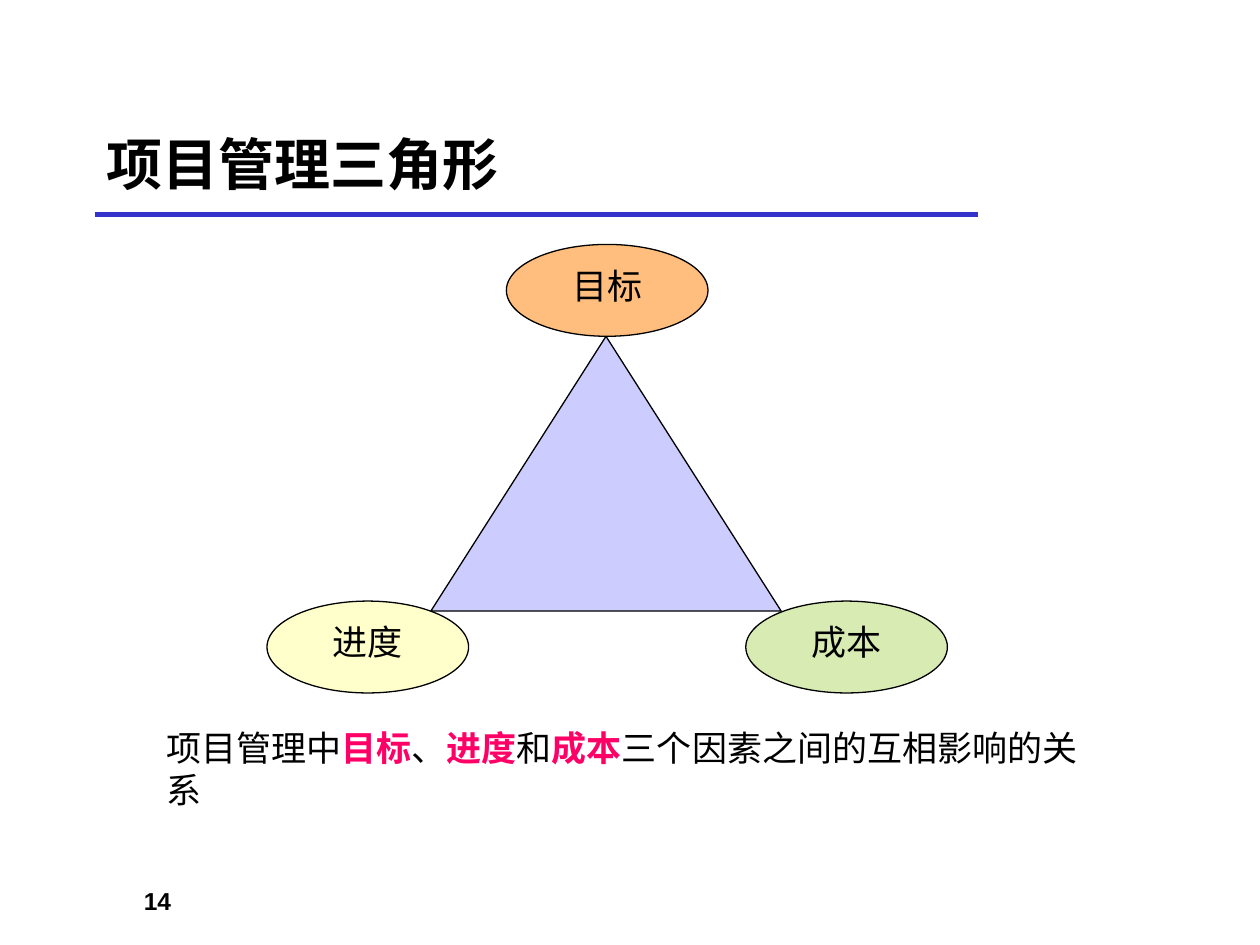
import pptx
import pptx.util
import pptx.dml.color
import pptx.enum.shapes
import pptx.enum.text
import pptx.oxml
from collections import namedtuple

Pt = pptx.util.Pt
RGBColor = pptx.dml.color.RGBColor
Shapes = pptx.enum.shapes.MSO_SHAPE
Anchor = pptx.enum.text.MSO_ANCHOR
Align = pptx.enum.text.PP_ALIGN
Box = namedtuple("Box", "left top width height")

BLACK = RGBColor(0x00, 0x00, 0x00)
BLUE = RGBColor(0x33, 0x33, 0xCC)
LAVENDER = RGBColor(0xCC, 0xCC, 0xFF)
YELLOW = RGBColor(0xFF, 0xFF, 0xCC)
ORANGE = RGBColor(0xFF, 0xBE, 0x7D)
GREEN = RGBColor(0xD8, 0xEB, 0xB3)
PINK = RGBColor(0xFF, 0x00, 0x66)

SERIF = "Times New Roman"
OVAL_WIDTH, OVAL_HEIGHT = 115.2, 52.5


def points(box):
    """Turn a box of numbers into lengths."""
    return [Pt(value) for value in box]


def style(para, size, name=SERIF, bold=False, align=Align.LEFT):
    """Set the alignment and font of a paragraph."""
    para.alignment = align
    para.font.size = Pt(size)
    para.font.name = name
    para.font.bold = bold
    para.font.color.rgb = BLACK


def add_text(page, box, anchor, wrap=True):
    """Add a text box and return its first paragraph."""
    frame = page.shapes.add_textbox(*points(box)).text_frame
    frame.word_wrap = wrap
    frame.vertical_anchor = anchor
    return frame.paragraphs[0]


def add_outlined(page, kind, box, fill):
    """Add a filled preset shape with a thin black outline."""
    shape = page.shapes.add_shape(kind, *points(box))
    shape.shadow.inherit = False
    shape.fill.solid()
    shape.fill.fore_color.rgb = fill
    shape.line.color.rgb = BLACK
    shape.line.width = Pt(0.75)
    return shape


def add_heading(page, box):
    """Place the title and the rule that crosses its lower part."""
    rule_top = box.top + 74.2
    rule = page.shapes.add_connector(
        pptx.enum.shapes.MSO_CONNECTOR.STRAIGHT,
        Pt(box.left), Pt(rule_top), Pt(box.left + 504.7), Pt(rule_top))
    rule.line.color.rgb = BLUE
    rule.line.width = Pt(3)
    rule._element.spPr.append(pptx.oxml.parse_xml(
        '<a:effectLst xmlns:a="http://schemas.openxmlformats.org/drawingml/2006/main"/>'))
    para = add_text(page, box, Anchor.MIDDLE)
    para.text = "项目管理三角形"
    style(para, 32, bold=True)


def add_triangle(page, box):
    """Place the triangle and the three factors at its corners."""
    inset = 93.6
    add_outlined(page, Shapes.ISOSCELES_TRIANGLE,
                 Box(box.left + inset, box.top + OVAL_HEIGHT, 200.2, 157), LAVENDER)
    step = (box.width - OVAL_WIDTH) / 2
    drop = box.height - OVAL_HEIGHT
    factors = [("进度", YELLOW, drop), ("目标", ORANGE, 0), ("成本", GREEN, drop)]
    for column, (label, fill, offset) in enumerate(factors):
        oval = add_outlined(page, Shapes.OVAL,
                            Box(box.left + column * step, box.top + offset,
                                OVAL_WIDTH, OVAL_HEIGHT), fill)
        oval.text_frame.vertical_anchor = Anchor.TOP
        para = oval.text_frame.paragraphs[0]
        para.text = label
        style(para, 20, align=Align.CENTER)


def add_summary(page, box):
    """Place the sentence with its highlighted factors."""
    para = add_text(page, box, Anchor.MIDDLE, wrap=False)
    style(para, 20)
    parts = ["项目管理中", "目标", "、", "进度", "和", "成本",
             "三个因素之间的互相影响的关系"]
    for index, words in enumerate(parts):
        span = para.add_run()
        span.text = words
        if index % 2:
            span.font.bold = True
            span.font.color.rgb = PINK


def add_page_number(page, box):
    """Place the page number."""
    para = add_text(page, box, Anchor.TOP)
    para.text = "14"
    style(para, 14, "Arial", True, Align.CENTER)


def main():
    """Build and save the deck."""
    deck = pptx.Presentation()
    deck.slide_width, deck.slide_height = Pt(720), Pt(540)
    page = deck.slides.add_slide(deck.slide_layouts[6])
    add_heading(page, Box(54, 48.2, 612, 90))
    add_summary(page, Box(87.8, 423.4, 555.1, 31.7))
    add_triangle(page, Box(152.6, 139.7, 388.8, 256.3))
    add_page_number(page, Box(0, 502.6, 180, 37.4))
    deck.save("out.pptx")


if __name__ == "__main__":
    main()
